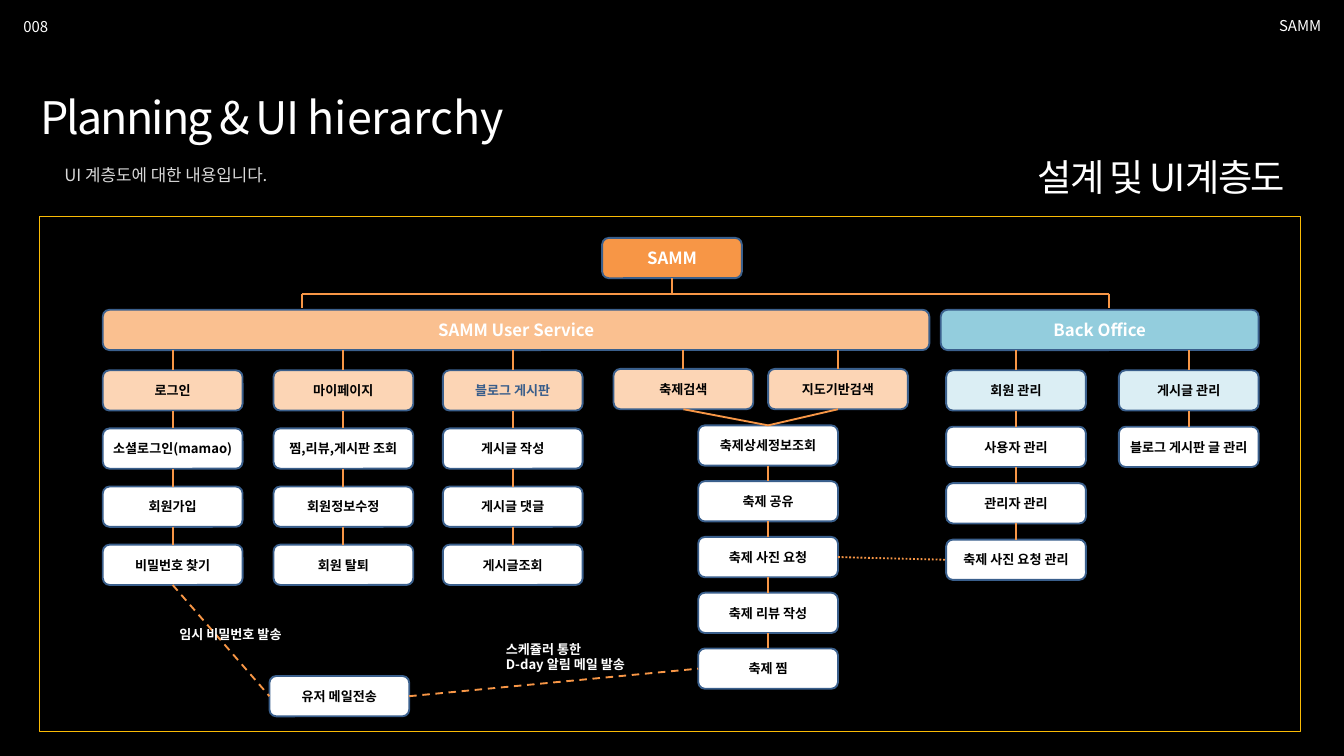
from itertools import pairwise

from lxml.etree import SubElement
from pptx import Presentation
from pptx.dml.color import RGBColor
from pptx.enum.dml import MSO_LINE
from pptx.enum.shapes import MSO_CONNECTOR, MSO_SHAPE
from pptx.enum.text import MSO_ANCHOR, MSO_AUTO_SIZE, PP_ALIGN
from pptx.oxml.ns import qn
from pptx.util import Inches, Pt

TOP, LEFT, BOTTOM, RIGHT = range(4)


def rgb(value):
    """Turn a hex string into a colour."""
    return RGBColor.from_string(value)


class Deck:
    """Holds the style and the current slide, laid out on a 20 by 11.25 grid."""

    FONT = "Noto Sans CJK KR"
    WHITE, BLACK, ORANGE, EDGE = "FFFFFF", "000000", "F79646", "3A5F8C"
    COLS, ROWS = 20, 11.25
    BOX_W, BOX_H = 2.08, 0.6

    def __init__(self):
        self.prs = Presentation()
        self.prs.slide_width, self.prs.slide_height = Inches(20), Inches(11.25)
        self.s = self.prs.slides.add_slide(self.prs.slide_layouts[6])
        fill = self.s.background.fill
        fill.solid()
        fill.fore_color.rgb = rgb(self.BLACK)

    def x(self, cols):
        """Convert columns to a length."""
        return round(self.prs.slide_width * cols / self.COLS)

    def y(self, rows):
        """Convert rows to a length."""
        return round(self.prs.slide_height * rows / self.ROWS)

    def area(self, col, row, w, h):
        """Convert a grid area to left, top, width and height."""
        return self.x(col), self.y(row), self.x(w), self.y(h)

    def style(self, p, size, color, bold, align):
        """Set the font and alignment of a paragraph."""
        p.alignment = align
        p.font.name, p.font.size, p.font.bold = self.FONT, Pt(size), bold
        p.font.color.rgb = rgb(color)
        SubElement(p.font._rPr, qn("a:ea"), typeface=self.FONT)

    def text(self, area, lines, size, color=WHITE, bold=False,
             align=PP_ALIGN.LEFT, anchor=MSO_ANCHOR.TOP):
        """Add a text box; each line is a list of (text, letter spacing) runs."""
        tf = self.s.shapes.add_textbox(*self.area(*area)).text_frame
        tf.word_wrap, tf.vertical_anchor = True, anchor
        tf.auto_size = MSO_AUTO_SIZE.SHAPE_TO_FIT_TEXT
        for i, runs in enumerate(lines):
            p = tf.add_paragraph() if i else tf.paragraphs[0]
            for words, spacing in runs:
                r = p.add_run()
                r.text = words
                if spacing:
                    r._r.get_or_add_rPr().set("spc", str(spacing * 100))
            self.style(p, size, color, bold, align)

    def box(self, col, row, label, fill=WHITE, color=BLACK, size=14, w=BOX_W):
        """Add a rounded box with a centred label."""
        sp = self.s.shapes.add_shape(
            MSO_SHAPE.ROUNDED_RECTANGLE, *self.area(col, row, w, self.BOX_H))
        sp.shadow.inherit = False
        sp.fill.solid()
        sp.fill.fore_color.rgb = rgb(fill)
        sp.line.color.rgb, sp.line.width = rgb(self.EDGE), Pt(2)
        tf = sp.text_frame
        tf.vertical_anchor = MSO_ANCHOR.MIDDLE
        p = tf.paragraphs[0]
        p.text = label
        self.style(p, size, color, True, PP_ALIGN.CENTER)
        return sp

    def frame(self, area, color, width):
        """Add an unfilled rectangle."""
        sp = self.s.shapes.add_shape(MSO_SHAPE.RECTANGLE, *self.area(*area))
        sp.shadow.inherit = False
        sp.fill.background()
        sp.line.color.rgb, sp.line.width = rgb(color), Pt(width)

    def link(self, start, end, dash=None):
        """Join two ends, each a (col, row) point or a (box, side) pair."""
        free = [(0, 0) if hasattr(e[0], "shape_id") else e for e in (start, end)]
        (x1, y1), (x2, y2) = free
        c = self.s.shapes.add_connector(
            MSO_CONNECTOR.STRAIGHT, self.x(x1), self.y(y1), self.x(x2), self.y(y2))
        if hasattr(start[0], "shape_id"):
            c.begin_connect(*start)
        if hasattr(end[0], "shape_id"):
            c.end_connect(*end)
        c.line.color.rgb, c.line.width = rgb(self.ORANGE), Pt(2)
        if dash:
            c.line.dash_style = dash
        SubElement(c._element.spPr, qn("a:effectLst"))

    def stack(self, col, row, pitch, labels, fill=WHITE, color=BLACK):
        """Add a column of linked boxes whose first one has its own colours."""
        head = self.box(col, row, labels[0], fill, color)
        boxes = [head] + [self.box(col, row + i * pitch, label)
                          for i, label in enumerate(labels[1:], 1)]
        for upper, lower in pairwise(boxes):
            self.link((upper, BOTTOM), (lower, TOP))
        return boxes

    def hang(self, col, row, sp):
        """Hang a box from the bar above it."""
        self.link((col + self.BOX_W / 2, row), (sp, TOP))


def main():
    """Build the UI hierarchy slide."""
    d = Deck()
    right, middle = PP_ALIGN.RIGHT, MSO_ANCHOR.MIDDLE
    d.text((0.25, 0.22, 0.83, 0.37), [[("008", 0)]], 16)
    d.text((18.7, 0.19, 1.06, 0.37), [[("SAMM", 0)]], 16, align=right, anchor=middle)
    d.text((0.5, 1.28, 15.94, 0.91),
           [[("Planning & UI ", -2), ("hierarchy", 0)]], 48, anchor=middle)
    d.text((0.86, 2.4, 13.52, 0.4), [[("UI 계층도에 대한 내용입니다.", 0)]], 18, "D9D9D9")
    d.text((11.31, 2.24, 7.91, 0.77), [[("설계 및 UI계층도", -2)]], 40,
           align=right, anchor=middle)

    bar, bus, head = 4.61, 4.37, 5.51
    under = bar + d.BOX_H
    root = d.box(8.96, 3.54, "SAMM", d.ORANGE, d.WHITE, 18)
    d.box(1.53, bar, "SAMM User Service", "FAC090", d.WHITE, 18, 12.3)
    d.box(14, bar, "Back Office", "93CDDD", d.WHITE, 18, 4.73)
    d.link((root, BOTTOM), (10, bus))
    d.link((4.5, bus), (16.5, bus))
    for col in (4.5, 16.5):
        d.link((col, bus), (col, 4.58))

    peach, pale = "FCD5B5", "DBEEF4"
    columns = [
        (1.53, 0.865, peach, d.BLACK,
         ["로그인", "소셜로그인(mamao)", "회원가입", "비밀번호 찾기"]),
        (4.07, 0.865, peach, d.BLACK,
         ["마이페이지", "찜,리뷰,게시판 조회", "회원정보수정", "회원 탈퇴"]),
        (6.59, 0.865, peach, "385D8A",
         ["블로그 게시판", "게시글 작성", "게시글 댓글", "게시글조회"]),
        (14.08, 0.84, pale, d.BLACK,
         ["회원 관리", "사용자 관리", "관리자 관리", "축제 사진 요청 관리"]),
        (16.65, 0.84, pale, d.BLACK, ["게시글 관리", "블로그 게시판 글 관리"]),
    ]
    stacks = []
    for col, pitch, fill, color, labels in columns:
        stacks.append(d.stack(col, head, pitch, labels, fill, color))
        d.hang(col, under, stacks[-1][0])
    login, admin = stacks[0], stacks[3]

    festival = d.stack(10.39, 6.33, 0.83, [
        "축제상세정보조회", "축제 공유", "축제 사진 요청", "축제 리뷰 작성", "축제 찜"])
    for col, label in ((9.13, "축제검색"), (11.43, "지도기반검색")):
        search = d.box(col, 5.49, label, peach)
        d.hang(col, under, search)
        d.link((search, BOTTOM), (festival[0], TOP))

    mail = d.box(4.01, 10.06, "유저 메일전송")
    d.link((login[-1], BOTTOM), (mail, LEFT), MSO_LINE.DASH)
    d.link((mail, RIGHT), (festival[-1], LEFT), MSO_LINE.DASH)
    d.link((festival[2], RIGHT), (admin[-1], LEFT), MSO_LINE.ROUND_DOT)
    d.text((2.57, 9.27, 1.93, 0.34), [[("임시 비밀번호 발송", 0)]], 14, bold=True)
    d.text((7.43, 9.49, 2.28, 0.57),
           [[("스케쥴러 통한", 0)], [("D-day 알림 메일 발송", 0)]], 14, bold=True)
    d.frame((0.58, 3.21, 18.77, 7.67), "FBBB05", 0.25)
    d.prs.save("out.pptx")


if __name__ == "__main__":
    main()
